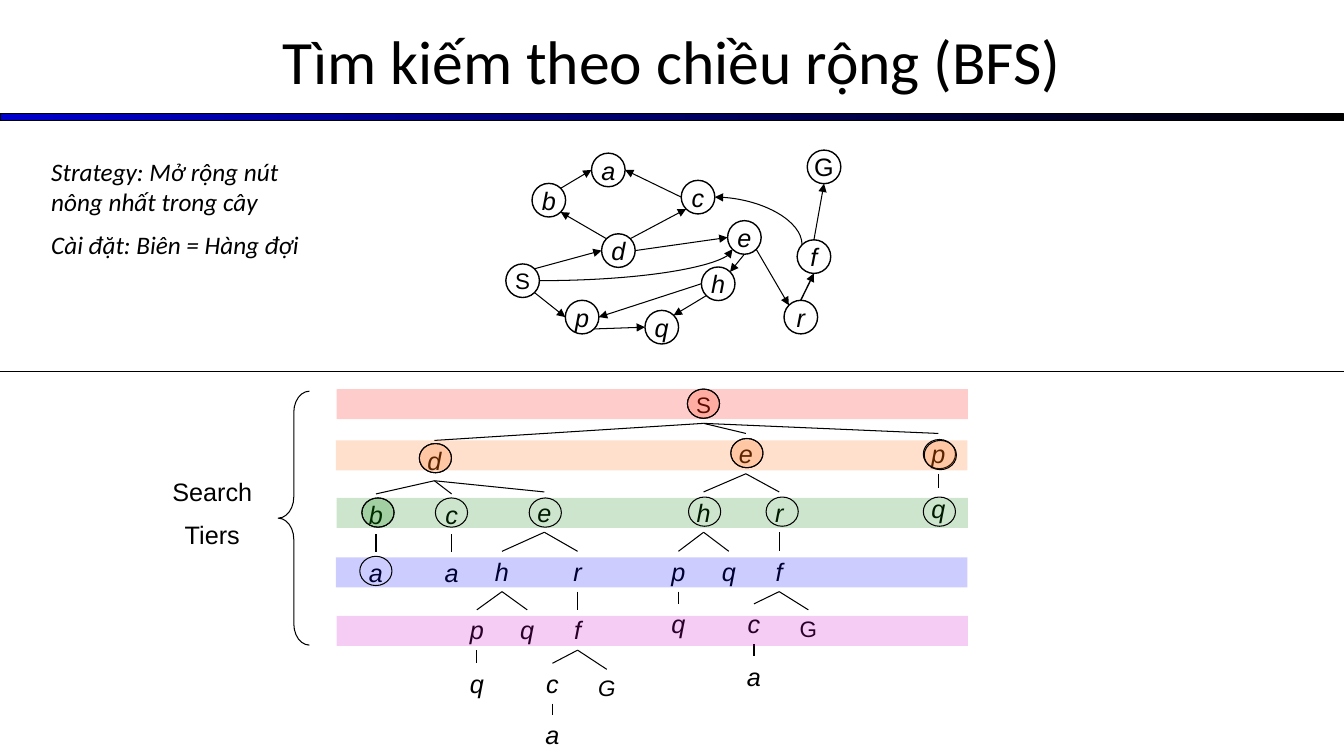
"""Build a slide that explains breadth-first search with a graph and its search tree."""
import math
from dataclasses import dataclass
from typing import Optional

from lxml import etree
from pptx import Presentation
from pptx import util as u
from pptx.dml import color as dml
from pptx.enum import shapes, text
from pptx.oxml import ns

BLACK = "000000"
RADIUS = 12
RING_WIDTH, RING_HEIGHT = 23, 20.9
BAND_HEIGHT = 21.5
LABEL_WIDTH = 30
COMPASS = {name: math.radians(45 * step) for step, name in
           enumerate(("E", "SE", "S", "SW", "W", "NW", "N", "NE"))}


@dataclass(frozen=True)
class TreeNode:
    letter: str
    x: float
    top: float
    children: tuple["TreeNode", ...] = ()
    italic: bool = True

    @property
    def size(self) -> int:
        return 16 if self.letter.isupper() else 18

    @property
    def bottom(self) -> float:
        return self.top + (26.6 if self.letter.isupper() else 28.8)


@dataclass(frozen=True)
class GraphNode:
    x: float
    y: float
    size: int = 18
    italic: bool = True

    def site(self, direction: str) -> tuple[float, float]:
        angle = COMPASS[direction]
        return self.x + RADIUS * math.cos(angle), self.y + RADIUS * math.sin(angle)


@dataclass(frozen=True)
class Edge:
    start: str
    leave: str
    end: str
    enter: str
    width: float = 0.75
    curved: bool = False
    arrow: str = "a:tailEnd"


@dataclass(frozen=True)
class Tint:
    left: float
    top: float
    color: str


GRAPH = {
    "S": GraphNode(373.3, 200.5, 16, False), "G": GraphNode(588.6, 119.2, 18, False),
    "d": GraphNode(441.7, 179), "b": GraphNode(392, 143), "p": GraphNode(415.8, 226.5),
    "q": GraphNode(472.7, 233.7), "c": GraphNode(498.6, 140.8), "e": GraphNode(531.7, 169.6),
    "h": GraphNode(513, 202.7), "a": GraphNode(434.5, 121.4), "f": GraphNode(581.4, 183.3),
    "r": GraphNode(572, 226.5),
}
EDGES = (
    Edge("S", "SE", "p", "W"), Edge("p", "SE", "q", "W"), Edge("h", "SW", "q", "NE"),
    Edge("h", "W", "p", "E"), Edge("e", "S", "h", "NE"), Edge("e", "SE", "r", "NW"),
    Edge("r", "N", "f", "S", width=1), Edge("f", "N", "G", "S"), Edge("S", "NE", "d", "W"),
    Edge("d", "NW", "b", "SE"), Edge("b", "NE", "a", "W"), Edge("c", "W", "a", "E"),
    Edge("d", "NE", "c", "SW"), Edge("d", "E", "e", "W"),
    Edge("c", "E", "f", "NW", curved=True, arrow="a:headEnd"),
    Edge("S", "E", "e", "SW", curved=True),
)
TREE = TreeNode("S", 502.6, 275.8, (
    TreeNode("d", 310.3, 314.6, (
        TreeNode("b", 268.6, 352.8, (TreeNode("a", 268.6, 394.6),)),
        TreeNode("c", 322.6, 352.8, (TreeNode("a", 322.6, 394.6),)),
        TreeNode("e", 388.8, 351.4, (
            TreeNode("h", 358.6, 393.8, (
                TreeNode("p", 340.6, 435.6, (TreeNode("q", 340.6, 473.8),)),
                TreeNode("q", 376.6, 435.6))),
            TreeNode("r", 412.6, 393.8, (
                TreeNode("f", 412.6, 435.6, (
                    TreeNode("c", 394.6, 473.8, (TreeNode("a", 394.6, 510.5),)),
                    TreeNode("G", 433.4, 478.1))),)))))),
    TreeNode("e", 532.8, 309.6, (
        TreeNode("h", 502.6, 351.4, (
            TreeNode("p", 484.6, 393.8, (TreeNode("q", 484.6, 431.3),)),
            TreeNode("q", 520.6, 393.8))),
        TreeNode("r", 556.6, 351.4, (
            TreeNode("f", 556.6, 393.8, (
                TreeNode("c", 538.6, 431.3, (TreeNode("a", 538.6, 468.7),)),
                TreeNode("G", 577.4, 435.6, italic=False))),)))),
    TreeNode("p", 670.3, 309.6, (TreeNode("q", 670.3, 348.5),))), italic=False)
BANDS = (Tint(240.5, 277.9, "FF0000"), Tint(240, 314.6, "FF6600"), Tint(240.5, 355.7, "008000"),
         Tint(240, 398.2, "0000FF"), Tint(240.5, 440, "CC00CC"))
RINGS = ((491, 277.9), (299.5, 316.8), (522, 313.2), (659.5, 313.9), (258.5, 355.7),
         (311, 355.7), (378, 355.7), (491.8, 355), (547.2, 355), (659.5, 355), (257, 397.4))
VISITED = (Tint(491, 277.9, "FF3300"), Tint(299.5, 316.8, "FF6600"), Tint(522, 313.2, "FF6600"),
           Tint(660.2, 314.6, "FF6600"), Tint(258.5, 355.7, "008000"))


def rgb(code: str) -> dml.RGBColor:
    return dml.RGBColor.from_string(code)


def write(frame, lines: tuple[str, ...], size: float, font: str = "Arial", italic: bool = False,
          centered: bool = True, wrap: bool = True, middle: bool = False) -> None:
    frame.word_wrap = wrap
    frame.vertical_anchor = text.MSO_ANCHOR.MIDDLE if middle else text.MSO_ANCHOR.TOP
    formats = {"name": font, "size": u.Pt(size), "italic": italic}
    for index, line in enumerate(lines):
        para = frame.add_paragraph() if index else frame.paragraphs[0]
        para.alignment = text.PP_ALIGN.CENTER if centered else text.PP_ALIGN.LEFT
        if index:
            para.space_before = u.Pt(size / 2)
        span = para.add_run()
        span.text = line
        for name, value in formats.items():
            setattr(span.font, name, value)
        span.font.color.rgb = rgb(BLACK)


def add_text(page, left: float, top: float, width: float, height: float,
             lines: tuple[str, ...], size: float, **options) -> None:
    box = page.shapes.add_textbox(u.Pt(left), u.Pt(top), u.Pt(width), u.Pt(height))
    write(box.text_frame, lines, size, **options)


def add_figure(page, kind: shapes.MSO_SHAPE, left: float, top: float, width: float, height: float,
               tint: Optional[str] = None, line: Optional[float] = 0.75):
    figure = page.shapes.add_shape(kind, u.Pt(left), u.Pt(top), u.Pt(width), u.Pt(height))
    figure.shadow.inherit = False
    if tint:
        figure.fill.solid()
        figure.fill.fore_color.rgb = rgb(tint)
        color = figure._element.spPr.find(".//" + ns.qn("a:srgbClr"))
        etree.SubElement(color, ns.qn("a:alpha"), val="20000")
    else:
        figure.fill.background()
    if line:
        figure.line.color.rgb = rgb(BLACK)
        figure.line.width = u.Pt(line)
    else:
        figure.line.fill.background()
    return figure


def add_line(page, start: tuple[float, float], end: tuple[float, float], width: float = 0.75,
             arrow: Optional[str] = None, curved: bool = False) -> None:
    points = (u.Pt(value) for value in (*start, *end))
    link = page.shapes.add_connector(shapes.MSO_CONNECTOR.STRAIGHT, *points)
    link.line.color.rgb = rgb(BLACK)
    link.line.width = u.Pt(width)
    properties = link._element.spPr
    if curved:
        properties.find(ns.qn("a:prstGeom")).set("prst", "curvedConnector2")
    if arrow:
        etree.SubElement(properties.find(ns.qn("a:ln")), ns.qn(arrow), type="triangle")
    etree.SubElement(properties, ns.qn("a:effectLst"))


def add_tree(page, node: TreeNode) -> None:
    add_text(page, node.x - LABEL_WIDTH / 2, node.top, LABEL_WIDTH, node.bottom - node.top,
             (node.letter,), node.size, italic=node.italic)
    for child in node.children:
        add_line(page, (node.x, node.bottom), (child.x, child.top))
        add_tree(page, child)


def add_graph(page) -> None:
    for letter, node in GRAPH.items():
        circle = add_figure(page, shapes.MSO_SHAPE.FLOWCHART_CONNECTOR, node.x - RADIUS,
                            node.y - RADIUS, 2 * RADIUS, 2 * RADIUS, line=1)
        write(circle.text_frame, (letter,), node.size, italic=node.italic, wrap=False, middle=True)
    for edge in EDGES:
        add_line(page, GRAPH[edge.start].site(edge.leave), GRAPH[edge.end].site(edge.enter),
                 edge.width, edge.arrow, edge.curved)


def add_tiers(page) -> None:
    for band in BANDS:
        add_figure(page, shapes.MSO_SHAPE.RECTANGLE, band.left, band.top, 451, BAND_HEIGHT,
                   band.color, line=None)
    brace = add_figure(page, shapes.MSO_SHAPE.LEFT_BRACE, 198.7, 279.4, 22.3, 181.4)
    brace.adjustments[0] = 0.68
    add_text(page, 113.8, 337, 75.6, 62, ("Search", "Tiers"), 18)
    for left, top in RINGS:
        add_figure(page, shapes.MSO_SHAPE.OVAL, left, top, RING_WIDTH, RING_HEIGHT)
    for ring in VISITED:
        add_figure(page, shapes.MSO_SHAPE.OVAL, ring.left, ring.top, RING_WIDTH, RING_HEIGHT,
                   ring.color)


def main() -> None:
    deck = Presentation()
    deck.slide_width, deck.slide_height = u.Pt(960), u.Pt(540)
    page = deck.slides.add_slide(deck.slide_layouts[6])
    rule = add_figure(page, shapes.MSO_SHAPE.RECTANGLE, 0, 81.3, 960, 5)
    rule.fill.gradient()
    rule.fill.gradient_angle = 0
    for stop, position, color in zip(rule.fill.gradient_stops, (0, 1), ("0000CC", BLACK)):
        stop.position = position
        stop.color.rgb = rgb(color)
    add_text(page, 0, -2, 960, 90, ("Tìm kiếm theo chiều rộng (BFS)",), 44,
             font="Calibri", middle=True)
    add_tree(page, TREE)
    add_graph(page)
    add_tiers(page)
    add_line(page, (0, 265.7), (960, 265.7))
    add_text(page, 29.5, 108, 201.6, 83.5,
             ("Strategy: Mở rộng nút nông nhất trong cây", "Cài đặt: Biên = Hàng đợi"), 18,
             font="Calibri", italic=True, centered=False)
    deck.save("out.pptx")


if __name__ == "__main__":
    main()
